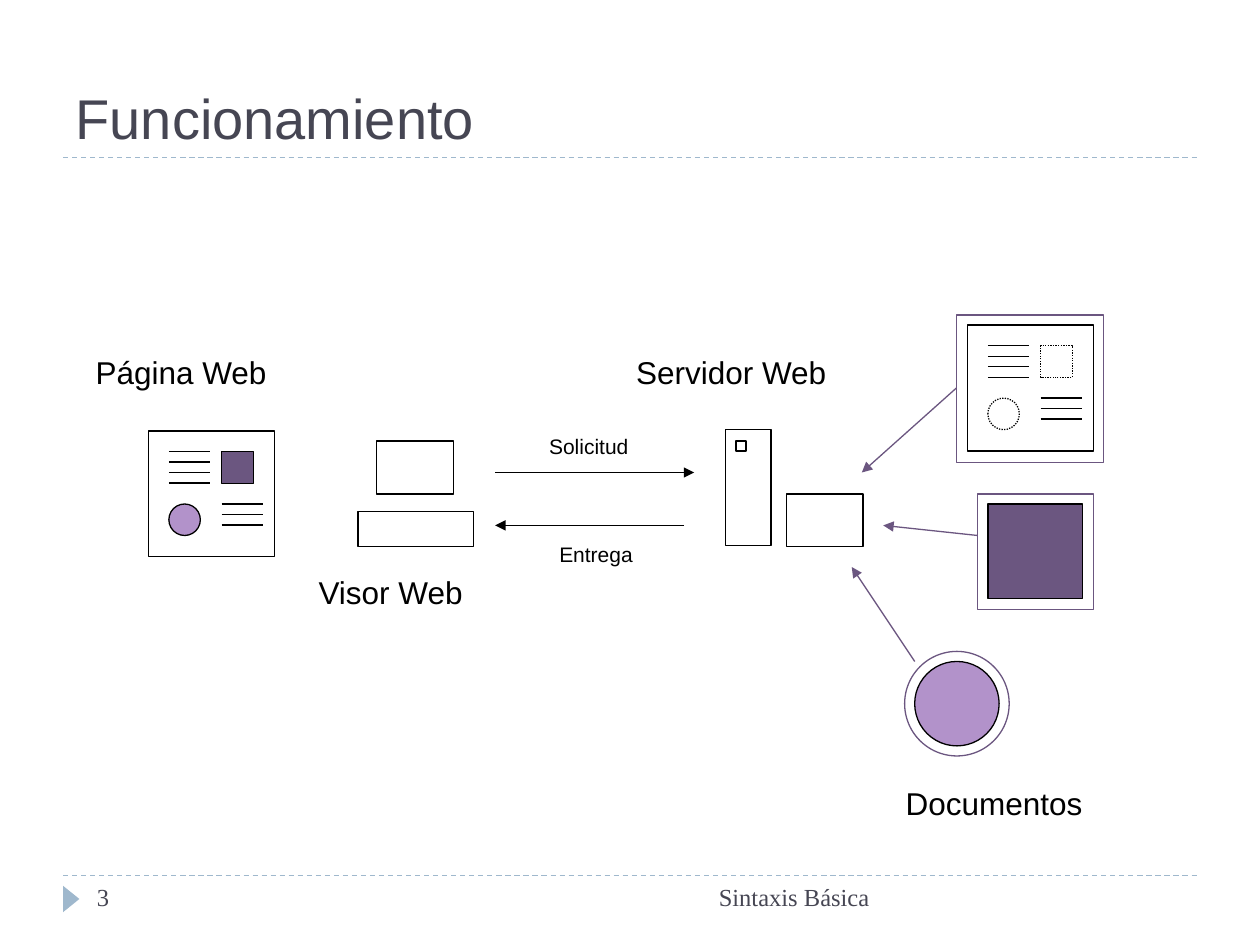
"""Build the slide that shows how a web browser and a web server work together."""
from dataclasses import dataclass
from typing import Any, Optional

from lxml.etree import SubElement
from pptx import Presentation
from pptx.dml.color import RGBColor
from pptx.enum.dml import MSO_LINE
from pptx.enum.shapes import MSO_CONNECTOR, MSO_SHAPE
from pptx.enum.text import MSO_ANCHOR, PP_ALIGN
from pptx.oxml.ns import qn
from pptx.util import Inches, Pt


@dataclass(frozen=True)
class Theme:
    ink: str = "000000"
    heading: str = "464653"
    rule: str = "9FB8CD"
    purple: str = "6B5680"
    lilac: str = "B292CA"
    sans: str = "Arial"
    serif: str = "Times New Roman"
    title_size: int = 32
    label_size: int = 18
    caption_size: int = 12
    footer_size: int = 14
    line_width: float = 0.75


THEME = Theme()


@dataclass(frozen=True)
class Figure:
    left: float
    top: float
    width: float
    height: float
    kind: MSO_SHAPE = MSO_SHAPE.RECTANGLE
    fill: Optional[str] = None
    line: Optional[str] = THEME.ink
    dash: Optional[MSO_LINE] = None
    rotation: float = 0


@dataclass(frozen=True)
class Line:
    start: tuple[float, float]
    end: tuple[float, float]
    color: str = THEME.ink
    arrow: bool = False
    dash: Optional[MSO_LINE] = None


@dataclass(frozen=True)
class Label:
    text: str
    left: float
    top: float
    width: float
    height: float
    size: int = THEME.label_size
    font: str = THEME.sans
    color: str = THEME.ink
    align: PP_ALIGN = PP_ALIGN.LEFT


RULES = [Line((0.5, y), (9.5, y), THEME.rule, dash=MSO_LINE.DASH) for y in (6.95, 1.25)]
FOOTER_MARK = Figure(0.46, 7.07, 0.21, 0.13, MSO_SHAPE.ISOSCELES_TRIANGLE,
                     THEME.rule, None, rotation=90)
BROWSER = [Figure(2.99, 3.5, 0.61, 0.42), Figure(2.84, 4.06, 0.92, 0.28)]
SERVER = [
    Figure(6.24, 3.92, 0.61, 0.42),
    Figure(5.48, 3.69, 0.92, 0.36, rotation=90),
    Figure(5.84, 3.5, 0.08, 0.08),
]
DOCUMENTS = [
    Figure(7.84, 4, 0.75, 0.75, fill=THEME.purple),
    Figure(7.26, 5.25, 0.67, 0.67, MSO_SHAPE.OVAL, THEME.lilac),
]
FRAMES = [
    Figure(7.59, 2.5, 1.17, 1.17, line=THEME.purple),
    Figure(7.76, 3.92, 0.92, 0.92, line=THEME.purple),
    Figure(7.18, 5.17, 0.83, 0.83, MSO_SHAPE.OVAL, line=THEME.purple),
]
ARROWS = [
    Line((7.59, 3.08), (6.84, 3.75), THEME.purple, arrow=True),
    Line((7.26, 5.25), (6.76, 4.5), THEME.purple, arrow=True),
    Line((7.76, 4.25), (7.01, 4.17), THEME.purple, arrow=True),
    Line((3.93, 3.75), (5.51, 3.75), arrow=True),
    Line((5.43, 4.17), (3.93, 4.17), arrow=True),
]
LABELS = [
    Label("Visor Web", 2.43, 4.5, 1.74, 0.5),
    Label("Servidor Web", 4.95, 2.75, 2.22, 0.5),
    Label("Documentos", 7.09, 6.17, 2.07, 0.5),
    Label("Página Web", 0.66, 2.75, 2.02, 0.5),
    Label("Solicitud", 4.26, 3.39, 0.83, 0.3, THEME.caption_size),
    Label("Entrega", 4.34, 4.25, 0.78, 0.3, THEME.caption_size),
    Label("3", 0.67, 6.95, 2.17, 0.4, THEME.footer_size, THEME.serif, THEME.heading),
    Label("Sintaxis Básica", 3.17, 6.95, 3.83, 0.4, THEME.footer_size, THEME.serif,
          THEME.heading, PP_ALIGN.RIGHT),
]


def set_format(target: Any, values: dict[str, Any]) -> None:
    """Set each named attribute of the target."""
    for name, value in values.items():
        setattr(target, name, value)


def set_line(line: Any, color: str, dash: Optional[MSO_LINE]) -> None:
    """Give a line its colour, width and dash."""
    line.color.rgb = RGBColor.from_string(color)
    set_format(line, {"width": Pt(THEME.line_width), "dash_style": dash})


def draw_figure(shapes: Any, figure: Figure) -> None:
    """Add one preset shape."""
    box = map(Inches, (figure.left, figure.top, figure.width, figure.height))
    shape = shapes.add_shape(figure.kind, *box)
    shape.rotation = figure.rotation
    shape.shadow.inherit = False
    if figure.fill:
        shape.fill.solid()
        shape.fill.fore_color.rgb = RGBColor.from_string(figure.fill)
    else:
        shape.fill.background()
    if figure.line:
        set_line(shape.line, figure.line, figure.dash)
    else:
        shape.line.fill.background()


def draw_line(shapes: Any, line: Line) -> None:
    """Add one straight line, with an arrowhead at its end if wanted."""
    ends = map(Inches, (*line.start, *line.end))
    connector = shapes.add_connector(MSO_CONNECTOR.STRAIGHT, *ends)
    set_line(connector.line, line.color, line.dash)
    properties = connector._element.spPr
    if line.arrow:
        SubElement(properties.find(qn("a:ln")), qn("a:tailEnd"), type="triangle")
    SubElement(properties, qn("a:effectLst"))


def draw_group(shapes: Any, figures: list[Figure]) -> Any:
    """Group the figures and return the shapes of the group."""
    members = shapes.add_group_shape().shapes
    for figure in figures:
        draw_figure(members, figure)
    return members


def draw_page(shapes: Any, left: float, top: float, square: Optional[str] = None,
              circle: Optional[str] = None) -> None:
    """Draw a web page whose two media slots are filled, or dotted when empty."""
    near, far, slot, line_gap, line_length = 0.16, 0.58, 0.25, 0.083, 0.33
    upper = top + 0.165
    lower = top + far
    members = draw_group(shapes, [
        Figure(left, top, 1, 1),
        Figure(left + far, upper, slot, slot, fill=square,
               dash=None if square else MSO_LINE.ROUND_DOT),
        Figure(left + near, lower, slot, slot, MSO_SHAPE.OVAL, circle,
               dash=None if circle else MSO_LINE.ROUND_DOT),
    ])
    for x, y, count in ((left + near, upper, 4), (left + far, lower, 3)):
        for row in range(count):
            level = y + row * line_gap
            draw_line(members, Line((x, level), (x + line_length, level)))


def format_text(frame: Any, text: str, size: int, font: str, color: str,
                align: PP_ALIGN) -> None:
    """Write one formatted paragraph."""
    paragraph = frame.paragraphs[0]
    paragraph.alignment = align
    run = paragraph.add_run()
    run.text = text
    set_format(run.font, {"size": Pt(size), "name": font})
    run.font.color.rgb = RGBColor.from_string(color)


def draw_label(shapes: Any, label: Label) -> None:
    """Add one text box."""
    box = map(Inches, (label.left, label.top, label.width, label.height))
    frame = shapes.add_textbox(*box).text_frame
    right_margin = Inches(0.1 if label.align == PP_ALIGN.RIGHT else 0)
    set_format(frame, {"word_wrap": True, "margin_right": right_margin})
    format_text(frame, label.text, label.size, label.font, label.color, label.align)


def main() -> None:
    """Build and save the presentation."""
    presentation = Presentation()
    set_format(presentation, {"slide_width": Inches(10), "slide_height": Inches(7.5)})
    slide = presentation.slides.add_slide(presentation.slide_layouts[5])
    shapes = slide.shapes
    title = shapes.title
    set_format(title, {"left": Inches(0.5), "top": Inches(0.17),
                       "width": Inches(9), "height": Inches(1.08)})
    title.text_frame.vertical_anchor = MSO_ANCHOR.BOTTOM
    format_text(title.text_frame, "Funcionamiento", THEME.title_size, THEME.sans,
                THEME.heading, PP_ALIGN.LEFT)
    for rule in RULES:
        draw_line(shapes, rule)
    draw_figure(shapes, FOOTER_MARK)
    draw_group(shapes, BROWSER)
    draw_group(shapes, SERVER)
    draw_page(shapes, 7.68, 2.58)
    draw_page(shapes, 1.18, 3.42, THEME.purple, THEME.lilac)
    for figure in DOCUMENTS + FRAMES:
        draw_figure(shapes, figure)
    for arrow in ARROWS:
        draw_line(shapes, arrow)
    for label in LABELS:
        draw_label(shapes, label)
    presentation.save("out.pptx")


if __name__ == "__main__":
    main()
